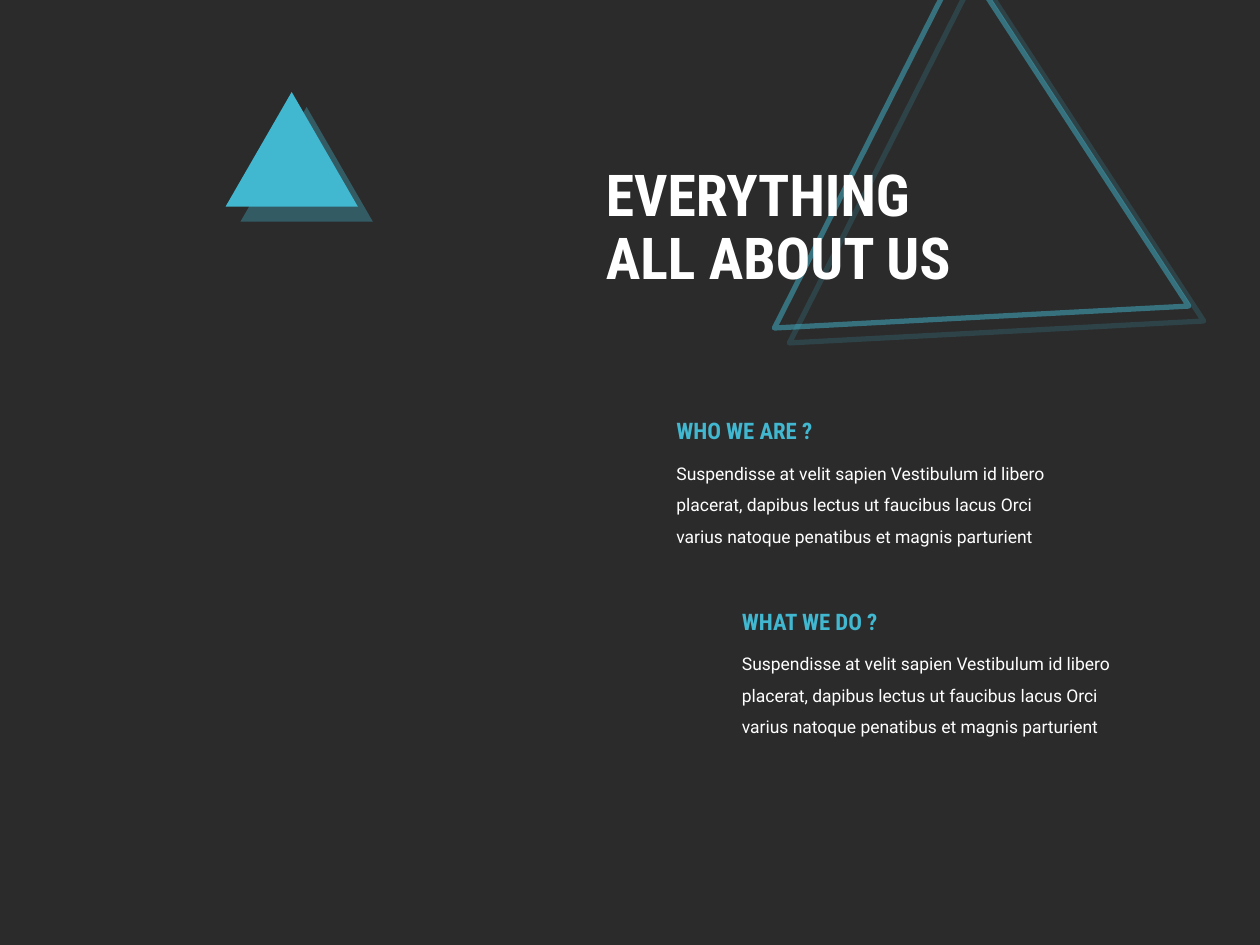
import pptx
import pptx.dml.color
import pptx.enum.shapes
import pptx.enum.text
import pptx.oxml.ns
import pptx.util
import lxml.etree
from pptx.util import Inches

ACCENT, WHITE, BACKGROUND = "41B7D0", "FFFFFF", "2B2B2B"


def paint(fill, color, alpha=None):
    """Make a fill solid, with an optional opacity in percent."""
    fill.solid()
    fill.fore_color.rgb = pptx.dml.color.RGBColor.from_string(color)
    if alpha is not None:
        element = fill._xPr.find(".//" + pptx.oxml.ns.qn("a:srgbClr"))
        lxml.etree.SubElement(element, pptx.oxml.ns.qn("a:alpha"), val=str(alpha * 1000))


def add_text(text, left, top, width, height, size, font="Roboto", color=WHITE,
             bold=False, line_spacing=1.0, anchor="TOP"):
    box = page.shapes.add_textbox(Inches(left), Inches(top), Inches(width), Inches(height))
    frame = box.text_frame
    frame.word_wrap = True
    frame.vertical_anchor = getattr(pptx.enum.text.MSO_ANCHOR, anchor)
    para = frame.paragraphs[0]
    para.text = text
    para.line_spacing = line_spacing
    for span in para.runs:
        span.font.size = pptx.util.Pt(size)
        span.font.name = font
        span.font.bold = bold
        paint(span.font.fill, color)


deck = pptx.Presentation()
deck.slide_width, deck.slide_height = Inches(10), Inches(7.5)
page = deck.slides.add_slide(deck.slide_layouts[6])
paint(page.background.fill, BACKGROUND)

# Triangles: a large rotated outline and a small solid one
triangle = pptx.enum.shapes.MSO_SHAPE.ISOSCELES_TRIANGLE
outline = page.shapes.add_shape(triangle, Inches(5.69), Inches(0.4), Inches(3.3), Inches(2.85))
outline.rotation = 236.9
outline.fill.background()
outline.line.width = pptx.util.Pt(3)
paint(outline.line.fill, ACCENT, alpha=50)

solid = page.shapes.add_shape(triangle, Inches(1.79), Inches(0.73), Inches(1.05), Inches(0.91))
paint(solid.fill, ACCENT)
solid.line.fill.background()

# Both cast a hard accent shadow down to the right
for shape in (outline, solid):
    shape.shadow.inherit = False
    effects = shape._element.spPr.find(pptx.oxml.ns.qn("a:effectLst"))
    effects.append(pptx.oxml.parse_xml(
        f'<a:outerShdw {pptx.oxml.ns.nsdecls("a")} blurRad="0" dist="{pptx.util.Pt(12.1)}"'
        ' dir="2700000" algn="tl" rotWithShape="0">'
        f'<a:srgbClr val="{ACCENT}"><a:alpha val="35000"/></a:srgbClr></a:outerShdw>'))

# Title
add_text("EVERYTHING\vALL ABOUT US", 4.71, 1.03, 4.22, 1.58, size=33,
         font="Roboto Condensed", bold=True, line_spacing=0.9, anchor="MIDDLE")

# Sections, each a heading above its body
body = ("Suspendisse at velit sapien Vestibulum id libero placerat, dapibus lectus ut "
        "faucibus lacus Orci varius natoque penatibus et magnis parturient")
for heading, left, top in (("WHO WE ARE ?", 5.27, 3.26), ("WHAT WE DO ?", 5.79, 4.77)):
    add_text(body, left, top + 0.28, 3.38, 0.85, size=10, line_spacing=1.5)
    add_text(heading, left, top, 1.84, 0.32, size=13, font="Roboto Condensed",
             color=ACCENT, bold=True)

deck.save("out.pptx")
